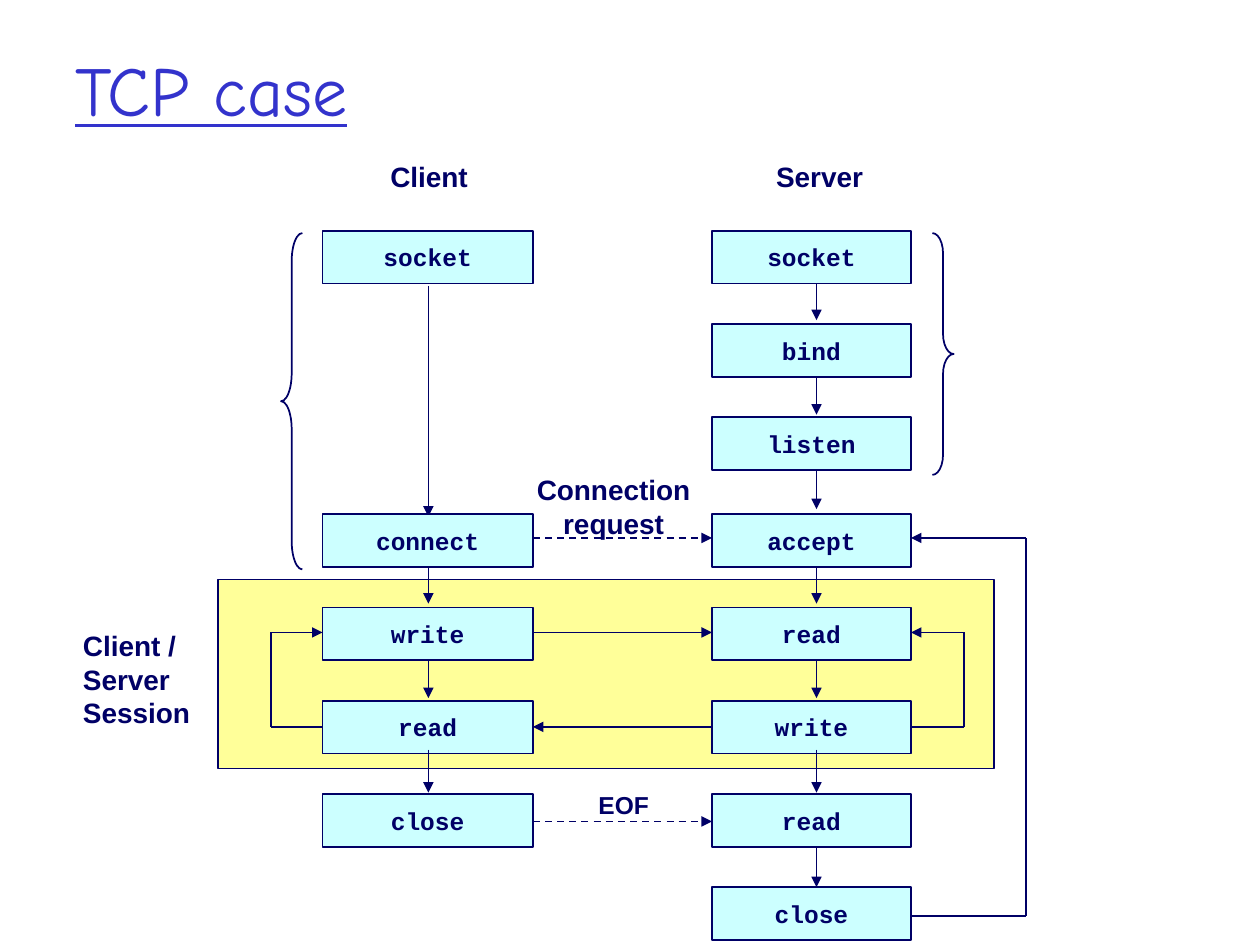
from lxml import etree
from pptx import Presentation
from pptx.dml.color import RGBColor
from pptx.enum import dml, shapes, text
from pptx.oxml.ns import qn
from pptx.util import Pt

NAVY, CYAN, YELLOW, BLUE = "000066", "CCFFFF", "FFFF99", "3333CC"
BOX_H, ROW_STEP, ARROW_STEP, DROP = 30.2, 53.3, 54, 24.5
CLIENT_X, CLIENT_W, CLIENT_MID = 184.3, 120.2, 244.8
SERVER_X, SERVER_W, SERVER_MID = 406.8, 113.8, 466.6
CLIENT_RIGHT, SERVER_RIGHT = CLIENT_X + CLIENT_W, SERVER_X + SERVER_W

CLIENT_CALLS = {0: "socket", 3: "connect", 4: "write", 5: "read", 6: "close"}
SERVER_CALLS = dict(enumerate(
    ["socket", "bind", "listen", "accept", "read", "write", "read", "close"]))


def rgb(value):
    return RGBColor.from_string(value)


def row_top(row):
    """Top of a call box; the rows from accept on sit slightly lower."""
    return 131.8 + ROW_STEP * row + (2.1 if row >= 3 else 0)


def link_y(row):
    """Height of the horizontal links of a row."""
    return 307.4 + ARROW_STEP * (row - 3)


def write(sp, lines, size, font, color=NAVY, align=text.PP_ALIGN.CENTER,
          wrap=False, bold=True, underline=False):
    tf = sp.text_frame
    tf.word_wrap = wrap
    tf.vertical_anchor = text.MSO_ANCHOR.MIDDLE
    for i, line in enumerate(lines):
        p = tf.add_paragraph() if i else tf.paragraphs[0]
        p.alignment = align
        r = p.add_run()
        r.text = line
        r.font.size, r.font.name = Pt(size), font
        r.font.bold, r.font.underline = bold, underline
        r.font.color.rgb = rgb(color)


def add_label(slide, x, y, w, h, lines, size=16, font="Arial", **style):
    sp = slide.shapes.add_textbox(Pt(x), Pt(y), Pt(w), Pt(h))
    write(sp, lines, size, font, **style)


def add_outlined(slide, kind, x, y, w, h, fill=None):
    sp = slide.shapes.add_shape(kind, Pt(x), Pt(y), Pt(w), Pt(h))
    sp.shadow.inherit = False
    if fill:
        sp.fill.solid()
        sp.fill.fore_color.rgb = rgb(fill)
    else:
        sp.fill.background()
    sp.line.color.rgb = rgb(NAVY)
    sp.line.width = Pt(1)
    return sp


def add_calls(slide, x, w, calls):
    for row, name in calls.items():
        sp = add_outlined(slide, shapes.MSO_SHAPE.RECTANGLE,
                          x, row_top(row), w, BOX_H, CYAN)
        write(sp, [name], 14, "Courier New")


def add_brace(slide, kind, x, y, w, h, curl):
    sp = add_outlined(slide, kind, x, y, w, h)
    sp.adjustments[0] = curl


def add_line(slide, x1, y1, x2, y2, arrow=True, dashed=False):
    c = slide.shapes.add_connector(shapes.MSO_CONNECTOR.STRAIGHT,
                                   Pt(x1), Pt(y1), Pt(x2), Pt(y2))
    c.line.color.rgb = rgb(NAVY)
    c.line.width = Pt(1)
    if dashed:
        c.line.dash_style = dml.MSO_LINE.DASH
    if arrow:
        etree.SubElement(c.line._get_or_add_ln(), qn("a:tailEnd"), type="triangle")
    etree.SubElement(c._element.spPr, qn("a:effectLst"))


def add_drop(slide, x, row):
    """Short arrow from a row down to the next one."""
    y = 158.4 + ARROW_STEP * row
    add_line(slide, x, y, x, y + DROP)


def add_loop(slide, box_x, outer_x, from_row, to_row):
    """Three-part path from the side of one box back up to an earlier one."""
    bottom, top = link_y(from_row), link_y(to_row)
    add_line(slide, box_x, bottom, outer_x, bottom, arrow=False)
    add_line(slide, outer_x, bottom, outer_x, top, arrow=False)
    add_line(slide, outer_x, top, box_x, top)


def main():
    prs = Presentation()
    prs.slide_width, prs.slide_height = Pt(720), Pt(540)
    slide = prs.slides.add_slide(prs.slide_layouts[6])

    add_label(slide, 36, 5.8, 648, 90, ["TCP case"], 40, "Comic Neue",
              color=BLUE, align=text.PP_ALIGN.LEFT, wrap=True,
              bold=False, underline=True)
    add_outlined(slide, shapes.MSO_SHAPE.RECTANGLE, 124.6, 331.2, 443.5, 108, YELLOW)
    add_label(slide, 40.3, 355.7, 77.8, 64.8, ["Client / Server", "Session"],
              align=text.PP_ALIGN.LEFT, wrap=True)
    add_label(slide, 213.1, 87.4, 64.1, 26.6, ["Client"])
    add_label(slide, 435.1, 87.4, 66.5, 26.6, ["Server"])

    add_loop(slide, CLIENT_X, 154.8, 5, 4)
    add_loop(slide, SERVER_RIGHT, 550.8, 5, 4)
    add_loop(slide, SERVER_RIGHT, 586.4, 7, 3)

    add_line(slide, CLIENT_MID, 163.4, CLIENT_MID, 295.2)
    for row in (3, 4):
        add_drop(slide, CLIENT_MID, row)
    for row in (0, 1, 2, 3, 4, 6):
        add_drop(slide, SERVER_MID, row)
    for row in (3, 4, 6):
        add_line(slide, CLIENT_RIGHT, link_y(row), SERVER_X, link_y(row),
                 dashed=row != 4)
    add_line(slide, SERVER_X, link_y(5), CLIENT_RIGHT, link_y(5))

    add_calls(slide, CLIENT_X, CLIENT_W, CLIENT_CALLS)
    add_calls(slide, SERVER_X, SERVER_W, SERVER_CALLS)
    for x in (CLIENT_MID, SERVER_MID):
        add_drop(slide, x, 5)

    add_label(slide, 297.6, 266.4, 106, 46.1, ["Connection", "request"])
    add_label(slide, 332.4, 447.8, 48, 24.5, ["EOF"], 14)
    add_brace(slide, shapes.MSO_SHAPE.LEFT_BRACE, 160.6, 133.2, 12.2, 192.2, 1.31)
    add_brace(slide, shapes.MSO_SHAPE.RIGHT_BRACE, 532.8, 133.2, 12.2, 138.2, 0.94)

    prs.save("out.pptx")


if __name__ == "__main__":
    main()
